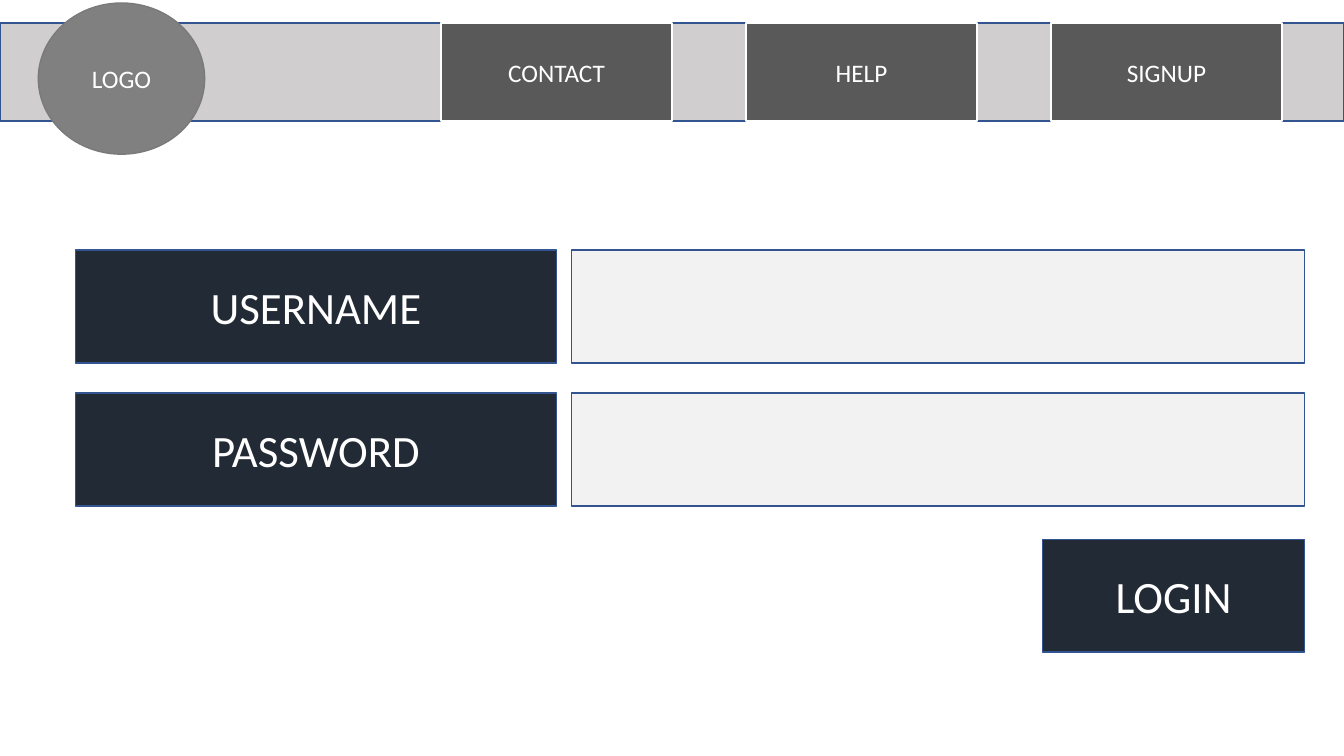
from pptx import Presentation
from pptx.dml.color import RGBColor
from pptx.enum import shapes, text
from pptx.util import Inches, Pt

# Content
MENU = ["CONTACT", "HELP", "SIGNUP"]
FIELDS = ["USERNAME", "PASSWORD"]
LOGO, SUBMIT = "LOGO", "LOGIN"

# Formats
BAR = dict(fill="D0CECE", line="325491", width=1)
TAB = dict(fill="595959", line="FFFFFF", width=1.5, size=18)
BADGE = dict(fill="808080", line="7A7A7A", width=1, size=18)
BUTTON = dict(fill="222A35", line="325491", width=1, size=32)
ENTRY = dict(fill="F2F2F2", line="325491", width=1)

# Layout in inches
SLIDE_W, SLIDE_H = 13.33, 7.5
BAR_TOP, BAR_H = 0.23, 0.97
TAB_LEFT, TAB_W, TAB_STEP = 4.37, 2.3, 3.025
LABEL_LEFT, LABEL_W = 0.75, 4.77
ENTRY_LEFT, ENTRY_W = 5.67, 7.27
ROW_TOP, ROW_H, ROW_STEP = 2.48, 1.12, 1.42
LOGIN_TOP, LOGIN_W = 5.35, 2.6

prs = Presentation()
prs.slide_width, prs.slide_height = Inches(SLIDE_W), Inches(SLIDE_H)
slide = prs.slides.add_slide(prs.slide_layouts[6])


def paint(color_format, value):
    color_format.rgb = RGBColor.from_string(value)


def add_box(box, style, label="", kind=shapes.MSO_SHAPE.RECTANGLE):
    sp = slide.shapes.add_shape(kind, *map(Inches, box))
    sp.shadow.inherit = False
    sp.fill.solid()
    paint(sp.fill.fore_color, style["fill"])
    paint(sp.line.color, style["line"])
    sp.line.width = Pt(style["width"])
    if label:
        tf = sp.text_frame
        tf.word_wrap = True
        tf.vertical_anchor = text.MSO_ANCHOR.MIDDLE
        p = tf.paragraphs[0]
        p.alignment = text.PP_ALIGN.CENTER
        r = p.add_run()
        r.text = label
        for name, value in dict(name="Calibri", size=Pt(style["size"])).items():
            setattr(r.font, name, value)
        paint(r.font.color, "FFFFFF")


# Header bar, menu and logo
add_box((0, BAR_TOP, SLIDE_W, BAR_H), BAR)
for i, label in enumerate(MENU):
    add_box((TAB_LEFT + i * TAB_STEP, BAR_TOP, TAB_W, BAR_H), TAB, label)
add_box((0.38, 0.03, 1.65, 1.5), BADGE, LOGO, shapes.MSO_SHAPE.OVAL)

# Form rows
for i, label in enumerate(FIELDS):
    top = ROW_TOP + i * ROW_STEP
    add_box((LABEL_LEFT, top, LABEL_W, ROW_H), BUTTON, label)
    add_box((ENTRY_LEFT, top, ENTRY_W, ROW_H), ENTRY)

# Login button, flush right with the entry boxes
login_left = ENTRY_LEFT + ENTRY_W - LOGIN_W
add_box((login_left, LOGIN_TOP, LOGIN_W, ROW_H), BUTTON, SUBMIT)

prs.save("out.pptx")
